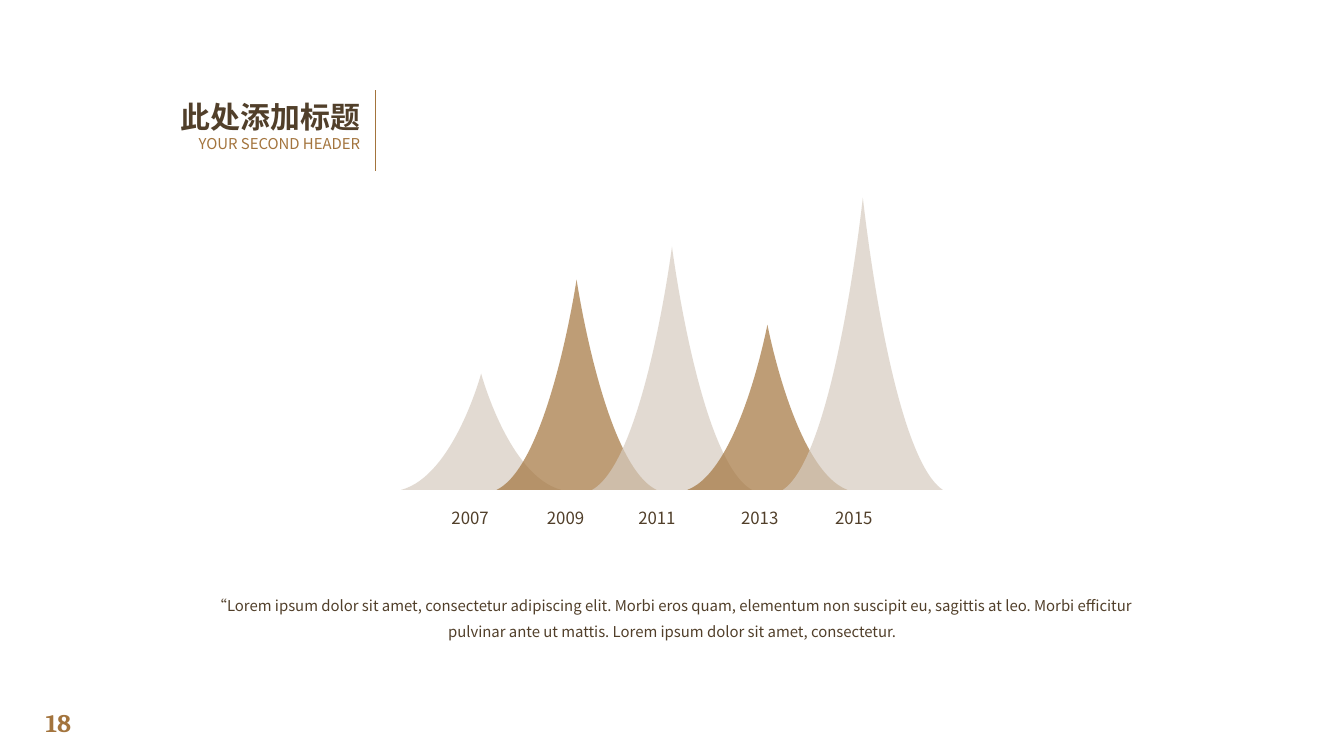
from pptx import Presentation
from pptx.dml.color import RGBColor
from pptx.enum.shapes import MSO_CONNECTOR
from pptx.enum.text import MSO_ANCHOR, MSO_AUTO_SIZE, PP_ALIGN
from pptx.oxml.ns import qn
from pptx.util import Inches, Pt
from lxml.etree import SubElement

SANS = "Noto Sans CJK SC"
BROWN, GOLD, SAND = "513F2A", "A3743D", "D6CBBF"


def write(text, at, size=16, color=BROWN, font=SANS, bold=False, wrap=True,
          align=PP_ALIGN.LEFT, anchor=MSO_ANCHOR.TOP, space=1.0, holder=None):
    """Put text in the given placeholder, or in a new text box."""
    at = [Inches(v) for v in at]
    box = holder or slide.shapes.add_textbox(*at)
    box.left, box.top, box.width, box.height = at
    frame = box.text_frame
    frame.word_wrap = wrap
    frame.auto_size = MSO_AUTO_SIZE.NONE if wrap else MSO_AUTO_SIZE.SHAPE_TO_FIT_TEXT
    frame.vertical_anchor = anchor
    para = frame.paragraphs[0]
    para.alignment, para.line_spacing, para.space_before = align, space, Pt(0)
    run = para.add_run()
    run.text = text
    run.font.size, run.font.bold, run.font.name = Pt(size), bold, font
    run.font.color.rgb = RGBColor.from_string(color)
    props = run.font._element
    props.set("cap", "none")
    SubElement(props, qn("a:ea")).set("typeface", font)


def curve(track, *points):
    """Add a cubic curve to a freeform's path, with points in inches."""
    part = SubElement(track, qn("a:cubicBezTo"))
    for x, y in points:
        dot = SubElement(part, qn("a:pt"))
        dot.set("x", str(Inches(x)))
        dot.set("y", str(Inches(y)))


deck = Presentation()
deck.slide_width, deck.slide_height = Inches(20), Inches(11.25)
slide = deck.slides.add_slide(deck.slide_layouts[2])
title, body = slide.placeholders[0], slide.placeholders[1]

# Page number and header
write("18", (0.58, 10.48, 0.71, 0.56), size=27, color=GOLD, font="Cambria",
      bold=True, wrap=False)
rule = slide.shapes.add_connector(MSO_CONNECTOR.STRAIGHT, Inches(5.58),
                                  Inches(1.34), Inches(5.58), Inches(2.55))
rule.line.color.rgb = RGBColor.from_string(GOLD)
rule.line.width = Pt(0.5)
SubElement(rule._element.spPr, qn("a:effectLst"))
write("此处添加标题", (0.58, 1.44, 4.88, 0.62), size=32, bold=True, space=0.9,
      align=PP_ALIGN.RIGHT, anchor=MSO_ANCHOR.BOTTOM, holder=title)
write("YOUR SECOND HEADER", (0.58, 1.98, 4.88, 0.42), color=GOLD, space=0.9,
      align=PP_ALIGN.RIGHT, holder=body)

# Peaks: a triangle whose two flanks become curves
BASE, HALF, BEND = 7.29, 1.19, 0.41
for i, tip in enumerate((5.56, 4.16, 3.67, 4.83, 2.94)):
    mid, tall = 7.16 + 1.42 * i, BASE - tip
    draft = slide.shapes.build_freeform(Inches(mid), Inches(tip))
    draft.add_line_segments([(Inches(mid - HALF), Inches(BASE)),
                             (Inches(mid + HALF), Inches(BASE))])
    peak = draft.convert_to_shape()
    track = next(peak._element.iter(qn("a:path")))
    start, side, floor, close = track
    track.remove(side)
    track.remove(floor)
    top, knee = (HALF, 0), 0.88 * tall
    curve(track, top, (HALF - BEND, knee), (0, tall))
    track.append(floor)
    curve(track, (HALF + BEND, knee), top, top)
    track.append(close)
    peak.shadow.inherit = False
    peak.line.fill.background()
    peak.fill.solid()
    peak.fill.fore_color.rgb = RGBColor.from_string(GOLD if i % 2 else SAND)
    tint = peak._element.spPr.find(qn("a:solidFill"))[0]
    SubElement(tint, qn("a:alpha")).set("val", "70000")

# Year labels
years = {"2007": 6.62, "2009": 8.04, "2011": 9.4, "2013": 10.93, "2015": 12.33}
for year, x in years.items():
    write(year, (x, 7.51, 1.09, 0.56), size=18, wrap=False)

write("“Lorem ipsum dolor sit amet, consectetur adipiscing elit. Morbi eros quam, "
      "elementum non suscipit eu, sagittis at leo. Morbi efficitur pulvinar ante "
      "ut mattis. Lorem ipsum dolor sit amet, consectetur.",
      (2.86, 8.69, 14.29, 1.73), align=PP_ALIGN.CENTER, space=1.5)

deck.save("out.pptx")
